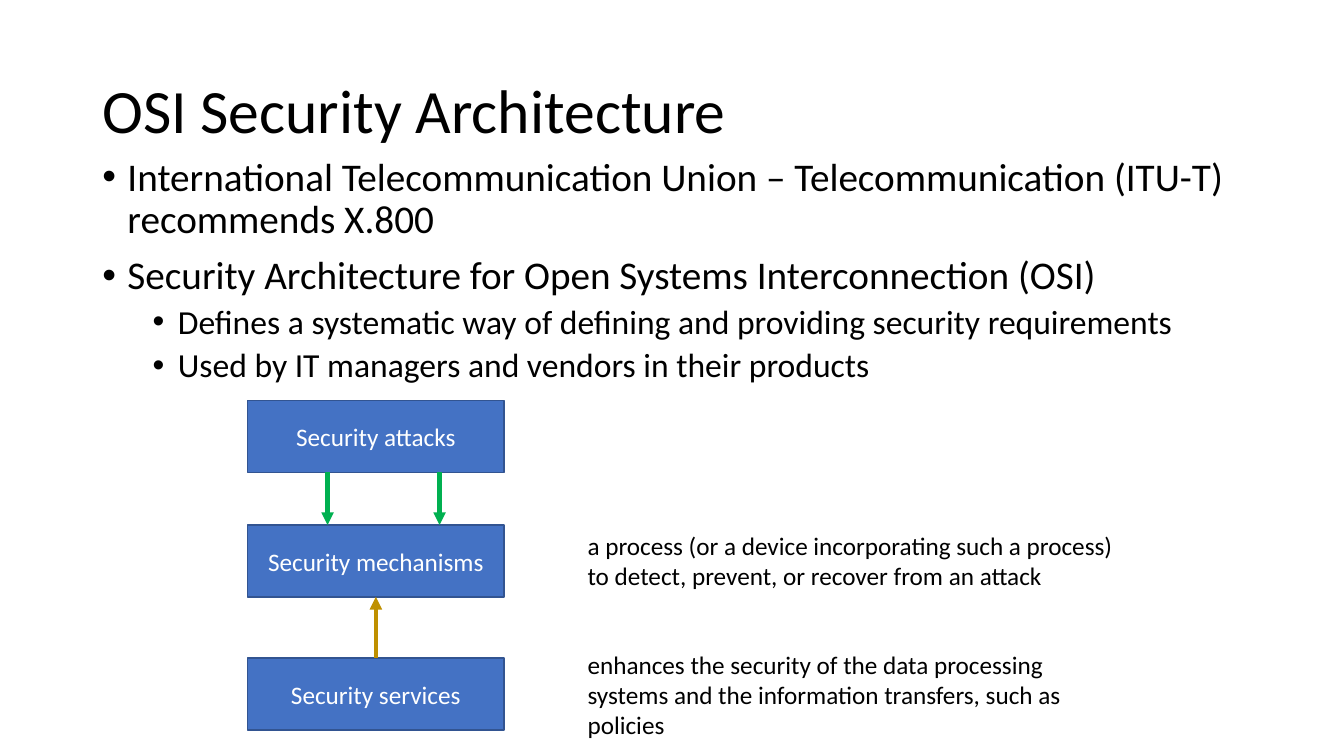
from lxml import etree
from pptx import Presentation
from pptx.dml.color import RGBColor
from pptx.enum.shapes import MSO_CONNECTOR, MSO_SHAPE
from pptx.enum.text import MSO_ANCHOR, PP_ALIGN
from pptx.oxml.ns import qn
from pptx.util import Pt

RECT = MSO_SHAPE.RECTANGLE
LINE = MSO_CONNECTOR.STRAIGHT
MIDDLE, TOP = MSO_ANCHOR.MIDDLE, MSO_ANCHOR.TOP
CENTER, LEFT = PP_ALIGN.CENTER, PP_ALIGN.LEFT


def color(text):
    return RGBColor.from_string(text)


class Deck:
    face = "Calibri"
    ink, paper = "000000", "FFFFFF"
    fill, edge = "4472C4", "325491"

    def __init__(self, slide):
        self.slide = slide

    def fit(self, para, text, size, ink, form):
        para.text = text
        for name, value in form.items():
            setattr(para, name, value)
        font = para.font
        for name, value in {"name": self.face, "size": Pt(size)}.items():
            setattr(font, name, value)
        font.color.rgb = color(ink)

    def frame(self, area, anchor=TOP):
        box = self.slide.shapes.add_textbox(*map(Pt, area))
        frame = box.text_frame
        frame.word_wrap = True
        frame.vertical_anchor = anchor
        return frame

    def label(self, area, text, size=18, anchor=TOP, **form):
        frame = self.frame(area, anchor)
        self.fit(frame.paragraphs[0], text, size, self.ink, form)

    def bullets(self, area, items):
        frame = self.frame(area)
        for i, (level, text) in enumerate(items):
            para = frame.add_paragraph() if i else frame.paragraphs[0]
            props = para._p.get_or_add_pPr()
            props.set("marL", str(Pt(18 + 36 * level)))
            props.set("indent", str(-Pt(18)))
            etree.SubElement(props, qn("a:buFont"), typeface="Arial")
            etree.SubElement(props, qn("a:buChar"), char="•")
            gap = (5 if level else 10) if i else 0
            form = {"level": level, "line_spacing": 0.9, "space_before": Pt(gap)}
            self.fit(para, text, 24 if level else 28, self.ink, form)

    def block(self, area, text):
        box = self.slide.shapes.add_shape(RECT, *map(Pt, area))
        box.shadow.inherit = False
        box.fill.solid()
        box.fill.fore_color.rgb = color(self.fill)
        box.line.color.rgb = color(self.edge)
        box.line.width = Pt(1)
        frame = box.text_frame
        frame.word_wrap = True
        frame.vertical_anchor = MIDDLE
        self.fit(frame.paragraphs[0], text, 18, self.paper, {"alignment": CENTER})

    def arrow(self, x, start, end, ink):
        link = self.slide.shapes.add_connector(LINE, Pt(x), Pt(start), Pt(x), Pt(end))
        link.line.color.rgb = color(ink)
        link.line.width = Pt(3)
        props = link._element.spPr
        etree.SubElement(props.find(qn("a:ln")), qn("a:tailEnd"), type="triangle")
        etree.SubElement(props, qn("a:effectLst"))


def main():
    show = Presentation()
    show.slide_width, show.slide_height = Pt(960), Pt(540)
    deck = Deck(show.slides.add_slide(show.slide_layouts[6]))

    # Title and bullets
    deck.label((66, 28.75, 828, 104.38), "OSI Security Architecture", 44, MIDDLE,
               line_spacing=0.9)
    deck.bullets((66, 108.7, 828, 342.6), [
        (0, "International Telecommunication Union – Telecommunication (ITU-T) "
            "recommends X.800"),
        (0, "Security Architecture for Open Systems Interconnection (OSI)"),
        (1, "Defines a systematic way of defining and providing security requirements"),
        (1, "Used by IT managers and vendors in their products"),
    ])

    # Stack of blocks
    left, wide, high = 177, 183, 51.4
    attack, guard, serve = 286, 375, 470
    for top, name in ((attack, "attacks"), (guard, "mechanisms"), (serve, "services")):
        deck.block((left, top, wide, high), f"Security {name}")

    # Arrows into the middle block
    deck.arrow(left + wide / 2, serve, guard + high, "BF9000")
    for x in (234, 314):
        deck.arrow(x, attack + high, guard, "00B050")

    # Notes beside the blocks
    for top, tall, text in (
        (guard, 51, "a process (or a device incorporating such a process) "
                    "to detect, prevent, or recover from an attack"),
        (460, 73, "enhances the security of the data processing systems "
                  "and the information transfers, such as policies"),
    ):
        deck.label((412.6, top, 394, tall), text, alignment=LEFT)

    show.save("out.pptx")


if __name__ == "__main__":
    main()
